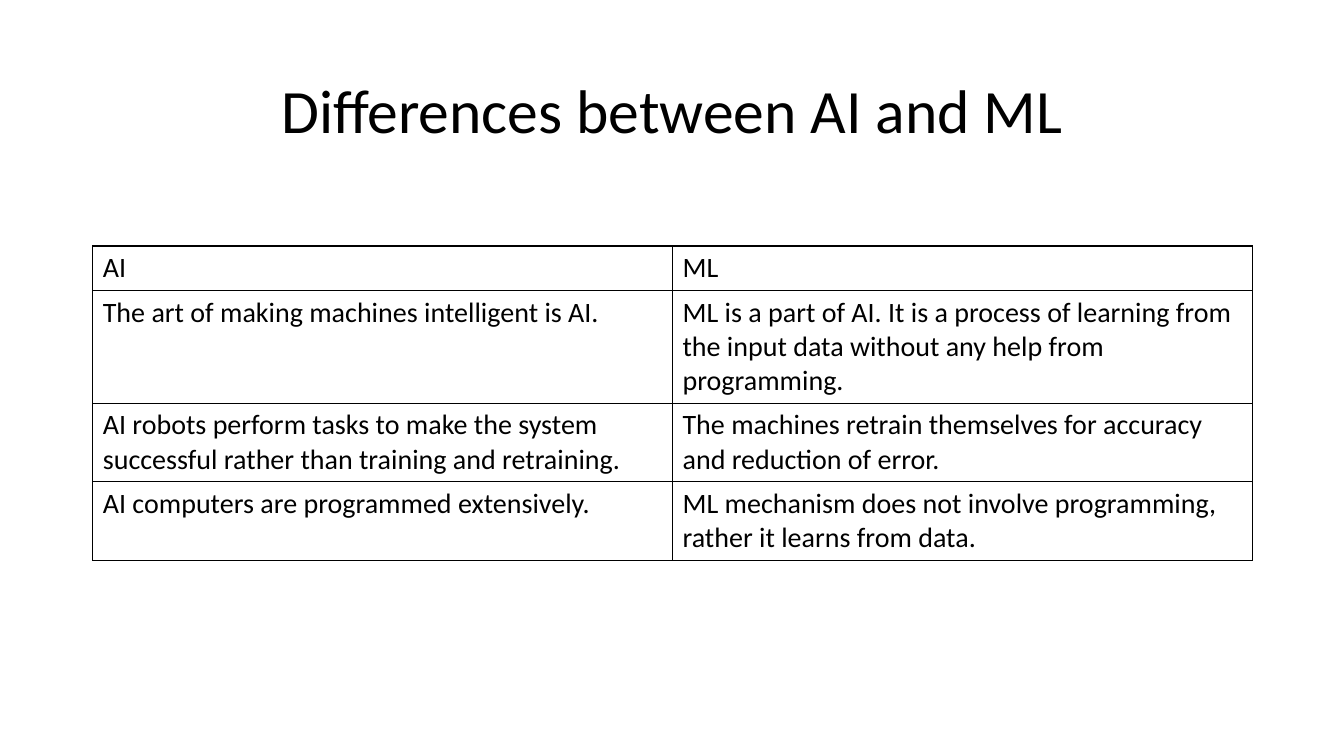
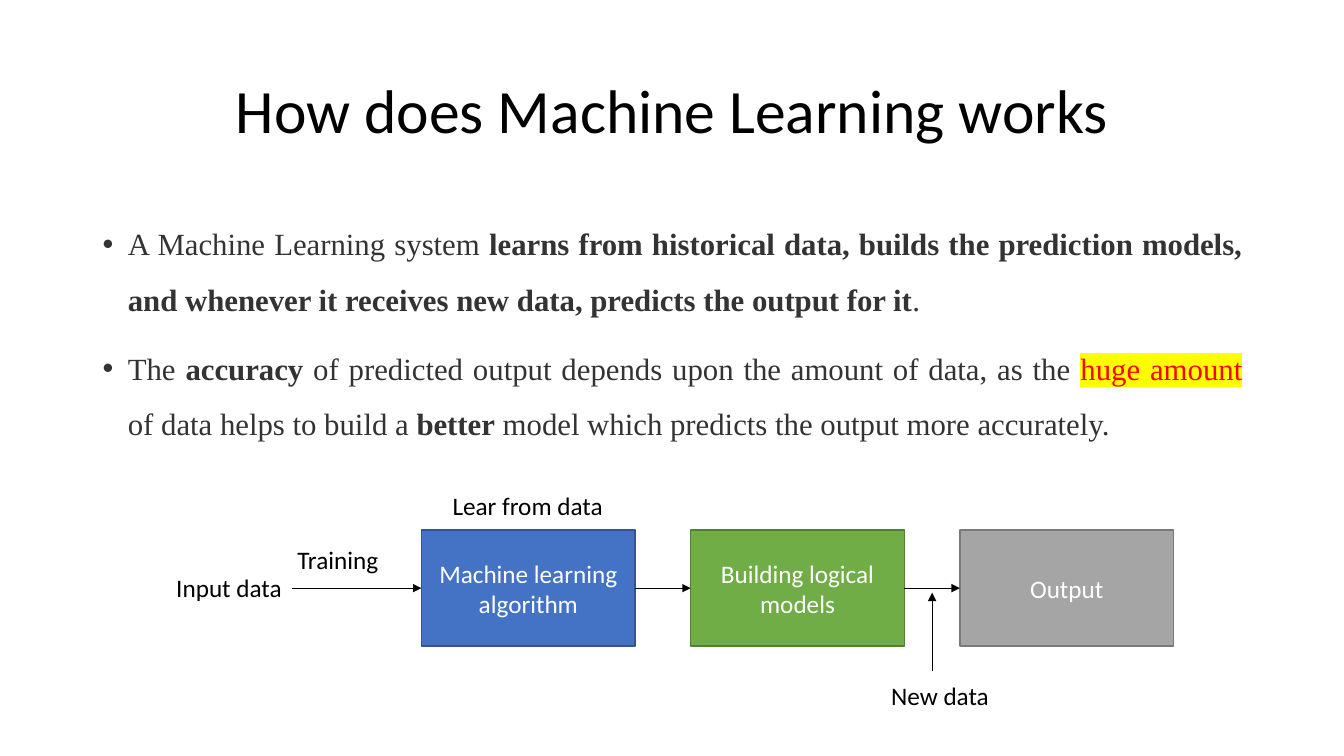
from lxml.etree import SubElement
from pptx import Presentation
from pptx.dml.color import RGBColor
from pptx.enum.shapes import MSO_CONNECTOR, MSO_SHAPE
from pptx.enum.text import MSO_ANCHOR as Anchor, PP_ALIGN as Align
from pptx.oxml.ns import qn
from pptx.util import Inches, Pt

COLORS = {
    "black": "000000", "white": "FFFFFF", "body": "333333",
    "red": "FF0000", "yellow": "FFFF00",
    "blue": "4472C4", "blue edge": "325491",
    "green": "70AD47", "green edge": "538035",
    "gray": "A5A5A5", "gray edge": "7A7A7A",
}
WIDTH, HEIGHT = 13.33, 7.5
MARGIN, CONTENT = 0.92, 11.5

COMPARISON_TITLE = "Differences between AI and ML"
COMPARISON = [
    (1, "AI", "ML"),
    (3, "The art of making machines intelligent is AI.",
     "ML is a part of AI. It is a process of learning from the input data "
     "without any help from programming."),
    (2, "AI robots perform tasks to make the system successful rather than "
     "training and retraining.",
     "The machines retrain themselves for accuracy and reduction of error."),
    (2, "AI computers are programmed extensively.",
     "ML mechanism does not involve programming, rather it learns from data."),
]
TABLE_TOP, CELL_PADDING, LINE_HEIGHT = 2.44, 0.1, 0.34

PROCESS_TITLE = "How does Machine Learning works"
BOLD = {"bold": True}
MARKED = {"color": "red", "highlight": "yellow"}
POINTS = [
    [("A Machine Learning system ", {}),
     ("learns from historical data, builds the prediction models, and "
      "whenever it receives new data, predicts the output for it", BOLD),
     (".", {})],
    [("The ", {}), ("accuracy", BOLD),
     (" of predicted output depends upon the amount of data, as the ", {}),
     ("huge amount ", MARKED), ("of data helps to build a ", {}),
     ("better", BOLD),
     (" model which predicts the output more accurately.", {})],
]
STAGES = [
    ("Machine learning algorithm", "blue"),
    ("Building logical models", "green"),
    ("Output", "gray"),
]
STAGE_LEFT, STAGE_TOP, STAGE_WIDTH, STAGE_HEIGHT, STAGE_GAP = 4.18, 5.26, 2.12, 1.15, 0.55
LABELS = [
    ("Input data", 1.65, 5.63, 1.26),
    ("Training", 2.85, 5.35, 1.01),
    ("Lear from data", 4.39, 4.82, 1.71),
    ("New data", 8.74, 6.7, 1.18),
]


def rgb(name):
    return RGBColor.from_string(COLORS[name])


def write(frame, paragraphs, size=18, font="Calibri", color="black", align=Align.LEFT,
          spacing=None, gap=0, bullet=False, anchor=Anchor.TOP, wrap=True):
    if isinstance(paragraphs, str):
        paragraphs = [[(paragraphs, {})]]
    frame.word_wrap = wrap
    frame.vertical_anchor = anchor
    for index, spans in enumerate(paragraphs):
        para = frame.add_paragraph() if index else frame.paragraphs[0]
        if bullet:
            props = para._p.get_or_add_pPr()
            props.set("marL", str(Inches(0.25)))
            props.set("indent", str(-Inches(0.25)))
            SubElement(props, qn("a:buFont"), typeface="Arial")
            SubElement(props, qn("a:buChar"), char="•")
        para.alignment = align
        if spacing:
            para.line_spacing = spacing
        if index:
            para.space_before = Pt(gap)
        for text, style in spans:
            span = para.add_run()
            span.text = text
            span.font.size = Pt(size)
            span.font.name = font
            span.font.bold = style.get("bold", False)
            span.font.color.rgb = rgb(style.get("color", color))
            if "highlight" in style:
                props = span._r.get_or_add_rPr()
                mark = SubElement(props, qn("a:highlight"))
                SubElement(mark, qn("a:srgbClr"), val=COLORS[style["highlight"]])
                props.find(qn("a:solidFill")).addnext(mark)


def add_text(page, text, left, top, width, height, **style):
    box = page.shapes.add_textbox(*map(Inches, (left, top, width, height)))
    write(box.text_frame, text, **style)


def add_page(deck, title):
    page = deck.slides.add_slide(deck.slide_layouts[6])
    add_text(page, title, MARGIN, 0.4, CONTENT, 1.45, size=44,
             align=Align.CENTER, spacing=0.9, anchor=Anchor.MIDDLE)
    return page


def add_border(cell):
    props = cell._tc.get_or_add_tcPr()
    for side in ("lnL", "lnR", "lnT", "lnB"):
        edge = SubElement(props, qn(f"a:{side}"), w=str(Pt(1)))
        fill = SubElement(edge, qn("a:solidFill"))
        SubElement(fill, qn("a:srgbClr"), val=COLORS["black"])


def add_comparison(page):
    heights = [CELL_PADDING + LINE_HEIGHT * row[0] for row in COMPARISON]
    table = page.shapes.add_table(
        len(COMPARISON), 2, Inches(MARGIN), Inches(TABLE_TOP),
        Inches(CONTENT), Inches(sum(heights))).table
    table.first_row = table.horz_banding = False
    for row, height, (_, *texts) in zip(table.rows, heights, COMPARISON):
        row.height = Inches(height)
        for cell, text in zip(row.cells, texts):
            add_border(cell)
            cell.fill.background()
            write(cell.text_frame, text, size=20)


def add_stage(page, index, text, color):
    left = STAGE_LEFT + index * (STAGE_WIDTH + STAGE_GAP)
    stage = page.shapes.add_shape(
        MSO_SHAPE.RECTANGLE,
        *map(Inches, (left, STAGE_TOP, STAGE_WIDTH, STAGE_HEIGHT)))
    stage.shadow.inherit = False
    stage.fill.solid()
    stage.fill.fore_color.rgb = rgb(color)
    stage.line.color.rgb = rgb(f"{color} edge")
    stage.line.width = Pt(1)
    write(stage.text_frame, text, color="white", align=Align.CENTER, anchor=Anchor.MIDDLE)
    return stage


def add_arrow(page, start, end, source=None, target=None):
    arrow = page.shapes.add_connector(
        MSO_CONNECTOR.STRAIGHT, *map(Inches, (*start, *end)))
    if source:
        arrow.begin_connect(source, 3)
    if target:
        arrow.end_connect(target, 1)
    arrow.line.color.rgb = rgb("black")
    arrow.line.width = Pt(0.5)
    SubElement(arrow.line._get_or_add_ln(), qn("a:tailEnd"), type="triangle")
    SubElement(arrow._element.spPr, qn("a:effectLst"))


def add_process(page):
    add_text(page, POINTS, MARGIN, 2, CONTENT, 2.6, size=22, font="Times New Roman",
             color="body", align=Align.JUSTIFY, spacing=1.5, gap=10, bullet=True)
    stages = [add_stage(page, index, *stage) for index, stage in enumerate(STAGES)]
    middle = STAGE_TOP + STAGE_HEIGHT / 2
    add_arrow(page, (2.9, middle), (STAGE_LEFT, middle), target=stages[0])
    for source, target in zip(stages, stages[1:]):
        add_arrow(page, (0, middle), (1, middle), source, target)
    entry = STAGE_LEFT + 2 * STAGE_WIDTH + 1.5 * STAGE_GAP
    add_arrow(page, (entry, 6.66), (entry, 5.88))
    for text, left, top, width in LABELS:
        add_text(page, text, left, top, width, 0.4, wrap=False)


def main():
    deck = Presentation()
    deck.slide_width, deck.slide_height = Inches(WIDTH), Inches(HEIGHT)
    add_comparison(add_page(deck, COMPARISON_TITLE))
    add_process(add_page(deck, PROCESS_TITLE))
    deck.save("out.pptx")


if __name__ == "__main__":
    main()
